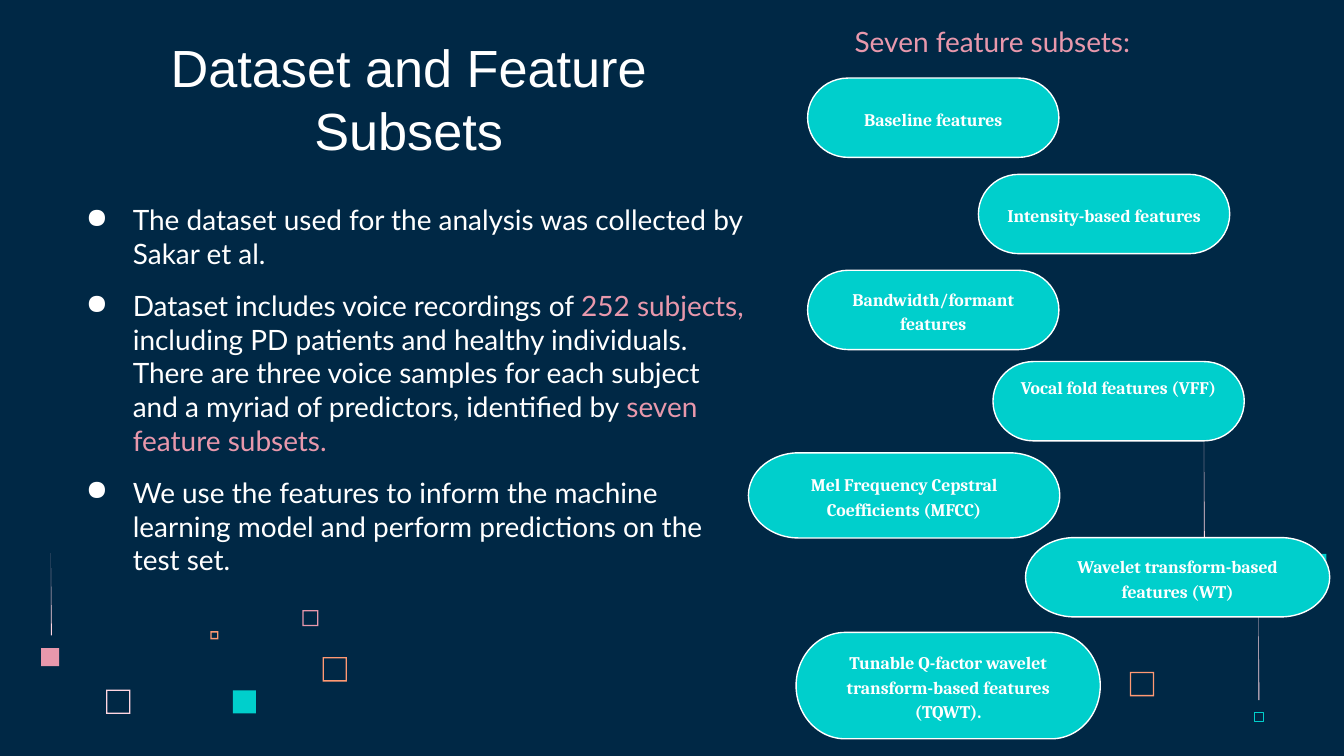
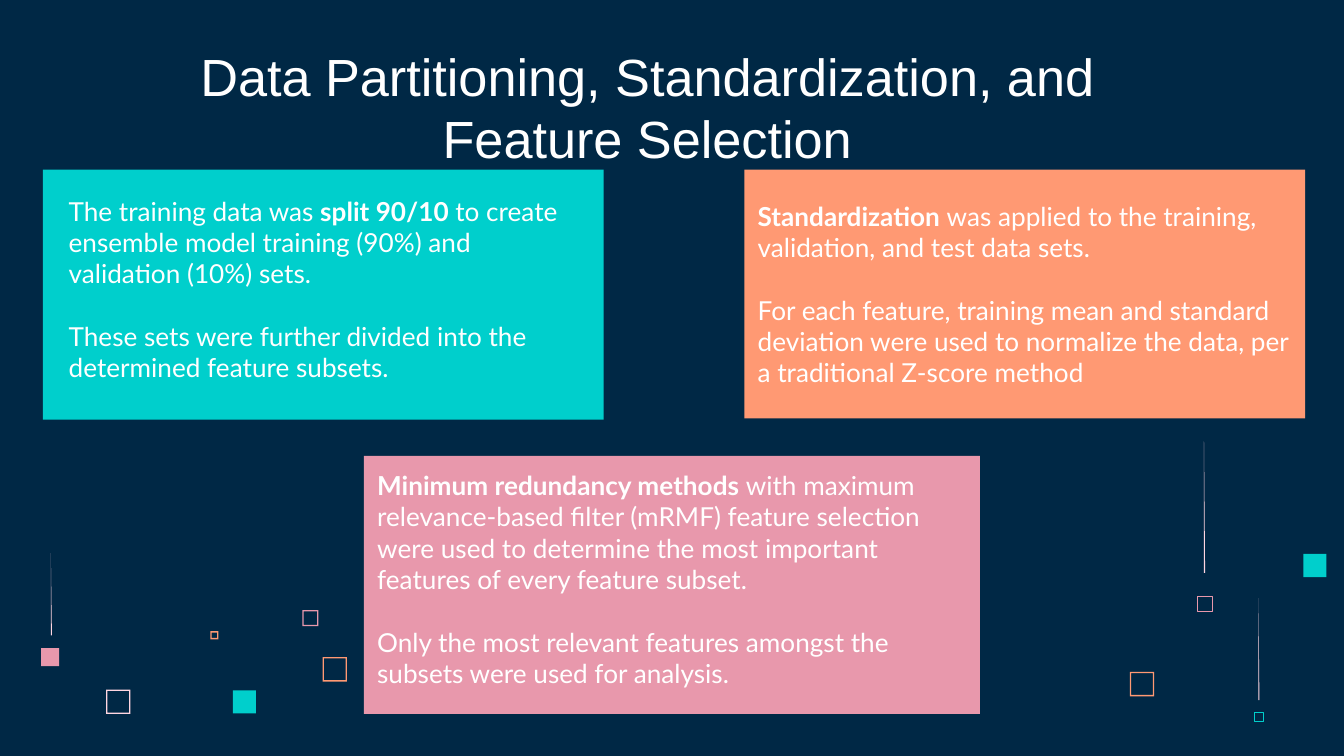
from dataclasses import dataclass

from lxml import etree
from pptx import Presentation
from pptx.dml.color import RGBColor
from pptx.enum.shapes import MSO_SHAPE
from pptx.enum.text import MSO_ANCHOR, MSO_AUTO_SIZE, PP_ALIGN
from pptx.oxml.ns import qn
from pptx.util import Pt


@dataclass(frozen=True)
class Theme:
    navy: str = "002845"
    white: str = "FFFFFF"
    teal: str = "00CFCC"
    pink: str = "E898AC"
    pale: str = "FFD6E1"
    orange: str = "FF9973"
    title_font: str = "Arial"
    body_font: str = "Lato"
    pill_font: str = "Cambria"
    title_size: float = 28
    body_size: float = 15
    panel_size: float = 14
    pill_size: float = 9.5
    inset: float = 7.2


T = Theme()


def rgb(value):
    return RGBColor.from_string(value)


def add_shape(s, kind, box, fill=None, line=None, weight=0.75):
    sp = s.shapes.add_shape(kind, *map(Pt, box))
    sp.shadow.inherit = False
    if fill:
        sp.fill.solid()
        sp.fill.fore_color.rgb = rgb(fill)
    else:
        sp.fill.background()
    if line:
        sp.line.color.rgb = rgb(line)
        sp.line.width = Pt(weight)
    else:
        sp.line.fill.background()
    return sp


def add_bullet(p, color):
    pPr = p._p.get_or_add_pPr()
    pPr.set("marL", str(Pt(36)))
    pPr.set("indent", str(-Pt(25.2)))
    clr = etree.SubElement(pPr, qn("a:buClr"))
    etree.SubElement(clr, qn("a:srgbClr"), val=color)
    etree.SubElement(pPr, qn("a:buChar"), char="●")


def write(tf, paragraphs, font=T.body_font, size=T.body_size, color=T.white,
          bold=False, align=PP_ALIGN.LEFT, anchor=MSO_ANCHOR.TOP, before=0,
          spacing=None, bullets=False, top=T.inset):
    """Fill a frame; a paragraph is a list of strings or (string, format) pairs."""
    tf.word_wrap = True
    tf.auto_size = MSO_AUTO_SIZE.NONE
    tf.vertical_anchor = anchor
    tf.margin_left = tf.margin_right = tf.margin_bottom = Pt(T.inset)
    tf.margin_top = Pt(top)
    for i, runs in enumerate(paragraphs):
        p = tf.paragraphs[0] if i == 0 else tf.add_paragraph()
        p.alignment = align
        p.space_before = Pt(before if i else 0)
        if spacing:
            p.line_spacing = spacing
        if bullets:
            add_bullet(p, color)
        for run in runs:
            text, fmt = (run, {}) if isinstance(run, str) else run
            r = p.add_run()
            r.text = text
            r.font.name = font
            r.font.size = Pt(size)
            r.font.bold = fmt.get("bold", bold)
            r.font.color.rgb = rgb(fmt.get("color", color))


def add_text(s, box, paragraphs, **fmt):
    tb = s.shapes.add_textbox(*map(Pt, box))
    write(tb.text_frame, paragraphs, **fmt)


def add_title(s, text, box):
    title = s.shapes.title
    title.left, title.top, title.width, title.height = map(Pt, box)
    write(title.text_frame, [[text]], font=T.title_font, size=T.title_size,
          align=PP_ALIGN.CENTER, anchor=MSO_ANCHOR.BOTTOM)


def add_decor(s):
    """Scatter the small squares and thin needles along the bottom corners."""
    frames = [(56.9, 369.4, 13, T.pale), (162, 326.9, 8.6, T.pink),
              (112.7, 338.2, 4.3, T.orange), (172.8, 352.1, 13, T.orange),
              (605.3, 360, 13, T.orange)]
    for x, y, side, color in frames:
        frame = add_shape(s, MSO_SHAPE.FRAME, (x, y, side, side), fill=color)
        frame.adjustments[0] = 0.7 / side
    for x, y, side, color in [(124.7, 369.8, 12.4, T.teal),
                              (22, 347.2, 9.7, T.pink),
                              (698.2, 296.8, 12.4, T.teal)]:
        add_shape(s, MSO_SHAPE.RECTANGLE, (x, y, side, side), fill=color)
    for x, y, side, color in [(641.4, 319.3, 8, T.pink),
                              (672, 381.6, 4.6, T.teal)]:
        add_shape(s, MSO_SHAPE.RECTANGLE, (x, y, side, side),
                  line=color, weight=0.23)
    for x, y, height in [(645, 236.5, 70.4), (27.2, 296.4, 44),
                         (674.1, 320.4, 54.7)]:
        add_shape(s, MSO_SHAPE.RIGHT_TRIANGLE, (x, y, 0.6, height), fill=T.pale)


def new_slide(prs, title, box):
    s = prs.slides.add_slide(prs.slide_layouts[5])
    add_decor(s)
    add_title(s, title, box)
    return s


def add_subsets(s, left, top):
    """Heading and staggered pills; pill offsets are taken from (left, top)."""
    add_text(s, (left + 49.8, top - 36, 236, 32.4), [["Seven feature subsets:"]],
             color=T.pink)
    pills = [
        ("Baseline features", 31.7, 0, 134.6, 42.5),
        ("Intensity-based features", 123.2, 51.6, 134.6, 42.5),
        ("Bandwidth/formant features", 31.7, 103, 134.6, 42.5),
        ("Vocal fold features (VFF)", 131, 151.9, 134.6, 42.5),
        ("Mel Frequency Cepstral Coefficients (MFCC)", 0, 200.8, 166.8, 45.6),
        ("Wavelet transform-based features (WT)", 148.4, 246.2, 163, 42.5),
        ("Tunable Q-factor wavelet transform-based features (TQWT).",
         25.5, 297, 163, 57),
    ]
    for text, dx, dy, width, height in pills:
        raised = text.startswith("Vocal")
        pill = add_shape(s, MSO_SHAPE.FLOWCHART_TERMINATOR,
                         (left + dx, top + dy, width, height),
                         fill=T.teal, line=T.white)
        write(pill.text_frame, [[text]], font=T.pill_font, size=T.pill_size,
              bold=True, align=PP_ALIGN.CENTER, spacing=1.15,
              anchor=MSO_ANCHOR.TOP if raised else MSO_ANCHOR.MIDDLE,
              top=0 if raised else T.inset)


def add_panel(s, box, color, paragraphs, text_box=None, **fmt):
    """Coloured block whose text sits inside it, or in text_box relative to it."""
    panel = add_shape(s, MSO_SHAPE.RECTANGLE, box, fill=color)
    fmt.update(size=T.panel_size, before=1.2 * T.panel_size)
    if text_box:
        dx, dy, width, height = text_box
        add_text(s, (box[0] + dx, box[1] + dy, width, height), paragraphs, **fmt)
    else:
        write(panel.text_frame, paragraphs, **fmt)


def dataset_slide(prs):
    s = new_slide(prs, "Dataset and Feature Subsets", (49.7, 48.2, 338.4, 45.4))
    accent = {"color": T.pink}
    add_text(s, (28.1, 101.5, 380.9, 239), [
        ["The dataset used for the analysis was collected by Sakar et al."],
        ["Dataset includes voice recordings of ", ("252 subjects, ", accent),
         "including PD patients and healthy individuals. There are three voice "
         "samples for each subject and a myriad of predictors, identified by ",
         ("seven feature subsets.", accent)],
        ["We use the features to inform the machine learning model and perform "
         "predictions on the test set."],
    ], before=10, bullets=True)
    add_subsets(s, 401, 41.8)


def preparation_slide(prs):
    s = new_slide(prs, "Data Partitioning, Standardization, and Feature Selection",
                  (64.1, 27.4, 565.2, 70.6))
    strong = {"bold": True}
    add_panel(s, (23, 90.9, 300.4, 134), T.teal, [
        ["The training data was", (" split 90/10 ", strong),
         "to create ensemble model training (90%) and validation (10%) sets."],
        ["These sets were further divided into the determined feature subsets."],
    ], text_box=(6.7, 6.3, 283.7, 116.6))
    add_panel(s, (398.8, 90.9, 300.4, 133.2), T.orange, [
        [("Standardization ", strong),
         "was applied to the training, validation, and test data sets."],
        ["For each feature, training mean and standard deviation were used to "
         "normalize the data, per a traditional Z-score method"],
    ], anchor=MSO_ANCHOR.MIDDLE)
    add_panel(s, (195, 244.2, 330, 138.3), T.pink, [
        [("Minimum redundancy methods", strong),
         " with maximum relevance-based filter (mRMF) feature selection were used "
         "to determine the most important features of every feature subset."],
        ["Only the most relevant features amongst the subsets were used for "
         "analysis."],
    ])


def main():
    prs = Presentation()
    prs.slide_width, prs.slide_height = Pt(720), Pt(405)
    fill = prs.slide_master.background.fill
    fill.solid()
    fill.fore_color.rgb = rgb(T.navy)
    dataset_slide(prs)
    preparation_slide(prs)
    prs.save("out.pptx")


if __name__ == "__main__":
    main()
